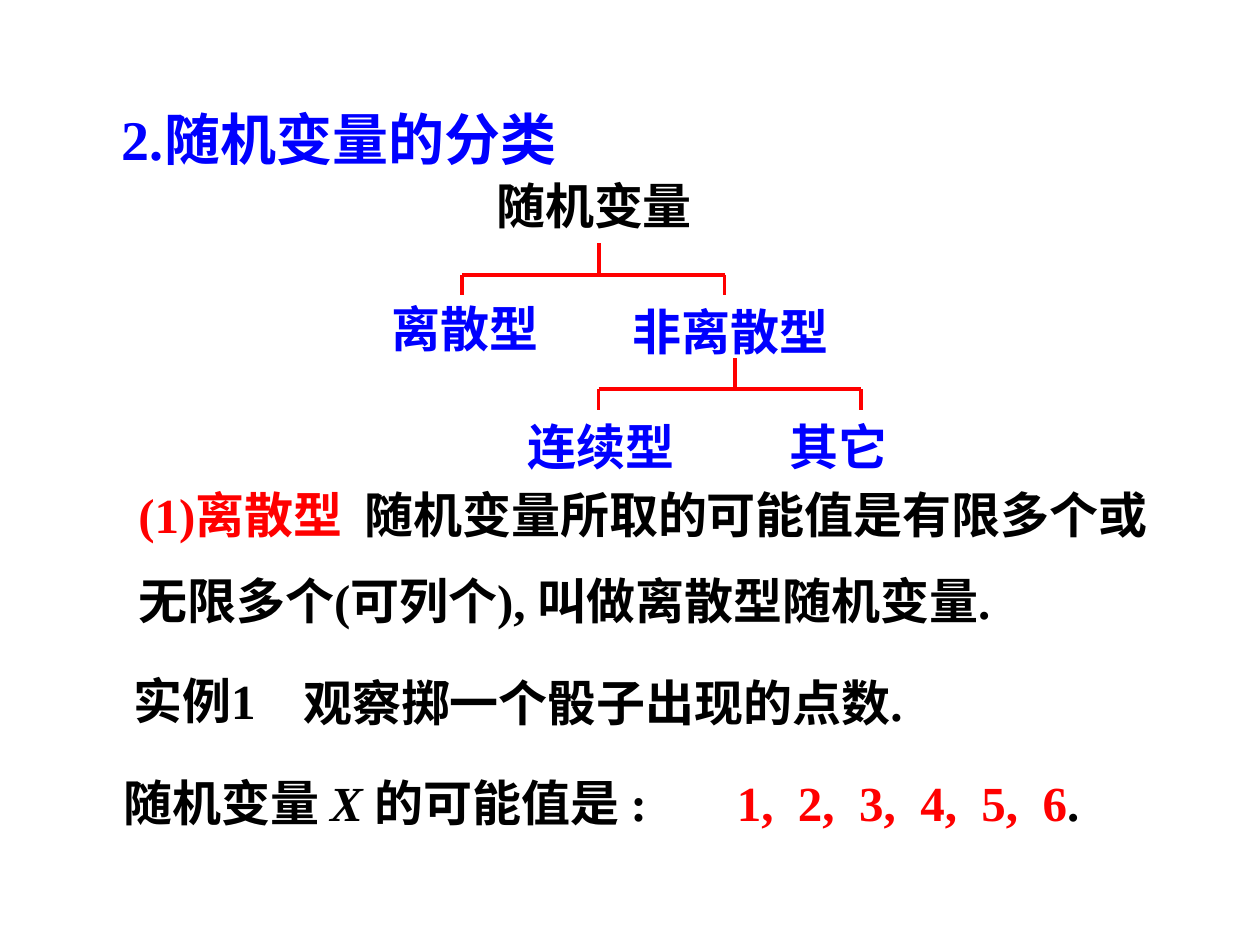
from lxml import etree
from pptx import Presentation
from pptx.dml.color import RGBColor
from pptx.enum.shapes import MSO_CONNECTOR
from pptx.enum.text import MSO_AUTO_SIZE
from pptx.oxml.ns import qn
from pptx.util import Inches, Pt

STRAIGHT = MSO_CONNECTOR.STRAIGHT
GROW = MSO_AUTO_SIZE.SHAPE_TO_FIT_TEXT
COLORS = {"blue": "0000FF", "red": "FF0000", "black": "000000"}
LATIN, CHINESE = "Times New Roman", "Noto Sans CJK SC"
BODY_SIZE, TITLE_SIZE = 28, 32
LINE_HEIGHT = 0.57
SLACK = 0.05  # spare width that keeps each label on one line


def add_run(paragraph, text, color, font=LATIN, italic=False, size=BODY_SIZE):
    run = paragraph.add_run()
    run.text = text
    run.font.size = Pt(size)
    run.font.bold = True
    run.font.italic = italic
    run.font.color.rgb = RGBColor.from_string(COLORS[color])
    run.font.name = font
    # Chinese characters take their own typeface
    east_asian = etree.SubElement(run.font._element, qn("a:ea"))
    east_asian.set("typeface", CHINESE)


def add_text(slide, left, top, width, runs, height=LINE_HEIGHT, size=BODY_SIZE):
    """Add a one-line text box; each run is (text, color, font, italic)."""
    shape = slide.shapes.add_textbox(
        Inches(left), Inches(top), Inches(width + SLACK), Inches(height))
    shape.text_frame.word_wrap = False
    shape.text_frame.auto_size = GROW
    for run in runs:
        add_run(shape.text_frame.paragraphs[0], *run, size=size)


def add_bracket(slide, left, top, width=2.08, stem=0.25, drop=0.16):
    """Add a fork: stem down to a bar, with a drop at each end."""
    group = slide.shapes.add_group_shape()
    middle, right, bar = left + width * 0.52, left + width, top + stem
    for x1, y1, x2, y2 in (
        (left, bar, right, bar),
        (left, bar, left, bar + drop),
        (right, bar, right, bar + drop),
        (middle, bar, middle, top),
    ):
        line = group.shapes.add_connector(
            STRAIGHT, Inches(x1), Inches(y1), Inches(x2), Inches(y2))
        line.line.color.rgb = RGBColor.from_string(COLORS["red"])
        line.line.width = Pt(2.25)
        etree.SubElement(line._element.spPr, qn("a:effectLst"))


def add_tree(slide, left, top):
    for text, color, x, y, width in (
        ("随机变量", "black", 0.83, 0, 1.75),
        ("离散型", "blue", 0, 0.98, 1.36),
        ("非离散型", "blue", 1.91, 1, 1.75),
        ("连续型", "blue", 1.08, 1.92, 1.36),
        ("其它", "blue", 3.16, 1.92, 0.97),
    ):
        add_text(slide, left + x, top + y, width, [(text, color)])
    for x, y in ((0.66, 0.59), (1.74, 1.5)):
        add_bracket(slide, left + x, top + y)


def add_definition(slide, left, top, width, height):
    shape = slide.shapes.add_textbox(
        Inches(left), Inches(top), Inches(width), Inches(height))
    frame = shape.text_frame
    frame.word_wrap = True
    frame.auto_size = GROW
    lines = (
        (("(1)", "red"),
         ("离散型", "red", CHINESE),
         ("  随机变量所取的可能值是有限多个或", "black", CHINESE)),
        (("无限多个", "black", CHINESE),
         ("(", "black"),
         ("可列个", "black", CHINESE),
         ("), ", "black"),
         ("叫做离散型随机变量", "black", CHINESE),
         (".", "black")),
    )
    for index, runs in enumerate(lines):
        paragraph = frame.add_paragraph() if index else frame.paragraphs[0]
        paragraph.line_spacing = 0.95
        paragraph.space_before = Pt(17.5 if index else 0)
        properties = paragraph._p.get_or_add_pPr()
        properties.set("marL", str(Inches(0.5)))
        properties.set("indent", str(Inches(-0.5)))
        for run in runs:
            add_run(paragraph, *run)


def add_example(slide, left, top):
    add_text(slide, left + 0.08, top, 1.26, [("实例1", "black")])
    add_text(slide, left + 1.34, top + 0.02, 5.15,
             [(" 观察掷一个骰子出现的点数.", "black")])
    # Possible values
    add_text(slide, left, top + 0.81, 4.63, [
        ("随机变量 ", "black"),
        ("X ", "black", LATIN, True),
        ("的可能值是 :", "black"),
    ])
    values = ",  ".join(str(value) for value in range(1, 7))
    add_text(slide, left + 4.87, top + 0.81, 2.92,
             [(values, "red"), (".", "black")])


def main():
    presentation = Presentation()
    presentation.slide_width = Inches(10)
    presentation.slide_height = Inches(7.5)
    slide = presentation.slides.add_slide(presentation.slide_layouts[6])

    # Heading
    add_text(slide, 0.87, 0.78, 3.75,
             [("2.", "blue"), ("随机变量的分类", "blue", CHINESE)],
             height=0.64, size=TITLE_SIZE)
    add_tree(slide, 3.01, 1.34)
    add_definition(slide, 1, 3.83, 8.83, 1.23)
    add_example(slide, 0.88, 5.27)

    presentation.save("out.pptx")


if __name__ == "__main__":
    main()
